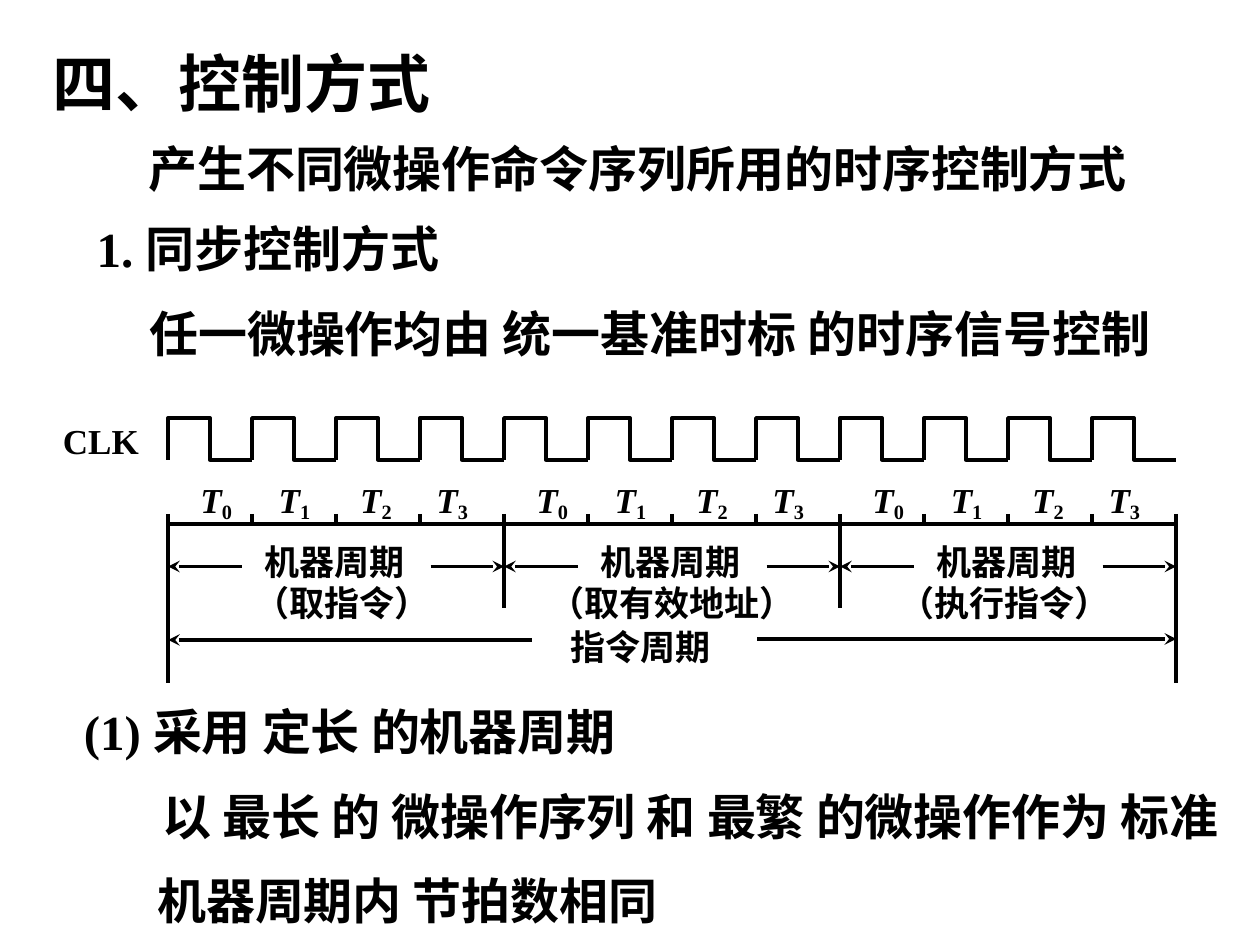
import dataclasses

import pptx
import pptx.dml.color
import pptx.enum.shapes
import pptx.enum.text
import pptx.oxml
import pptx.oxml.ns
import pptx.util
from pptx.util import Cm


@dataclasses.dataclass(frozen=True)
class Theme:
    font: str = "Times New Roman"
    ink: pptx.dml.color.RGBColor = pptx.dml.color.RGBColor(0, 0, 0)
    title: int = 36
    body: int = 28
    label: int = 20
    line: float = 2.25


class Painter:
    """Holds the theme and the current page; all lengths are centimetres."""

    def __init__(self, page, theme):
        self.page = page
        self.theme = theme

    def text(self, words, left, top, width, height, size, wrap=False):
        box = self.page.shapes.add_textbox(Cm(left), Cm(top), Cm(width), Cm(height))
        frame = box.text_frame
        frame.word_wrap = wrap
        frame.auto_size = pptx.enum.text.MSO_AUTO_SIZE.SHAPE_TO_FIT_TEXT
        frame.text = words
        para = frame.paragraphs[0]
        self.style(para.runs[0], size)
        return para

    def style(self, span, size):
        span.font.name = self.theme.font
        span.font.size = pptx.util.Pt(size)
        span.font.bold = True
        span.font.color.rgb = self.theme.ink

    def statement(self, words, left, top, width, wrap=False):
        self.text(words, left, top, width, 1.45, self.theme.body, wrap)

    def label(self, words, left, top, width):
        return self.text(words, left, top, width, 1.12, self.theme.label)

    def beat(self, index, left, top):
        """An italic T with a lowered index."""
        para = self.label("T", left, top, 1.18)
        para.runs[0].font.italic = True
        span = para.add_run()
        span.text = str(index)
        self.style(span, self.theme.label)
        span.font._element.set("baseline", "-15000")

    def stroke(self, shape):
        shape.line.color.rgb = self.theme.ink
        shape.line.width = pptx.util.Pt(self.theme.line)

    def line(self, x1, y1, x2, y2, arrow=False):
        line = self.page.shapes.add_connector(
            pptx.enum.shapes.MSO_CONNECTOR.STRAIGHT, Cm(x1), Cm(y1), Cm(x2), Cm(y2))
        self.stroke(line)
        if arrow:
            head = pptx.oxml.parse_xml(
                f'<a:tailEnd {pptx.oxml.ns.nsdecls("a")} type="stealth"/>')
            line.line._get_or_add_ln().append(head)
        line._element.spPr.append(
            pptx.oxml.parse_xml(f'<a:effectLst {pptx.oxml.ns.nsdecls("a")}/>'))

    def pulse(self, left, width, high, low):
        middle, right = left + width / 2, left + width
        builder = self.page.shapes.build_freeform(Cm(left), Cm(low))
        corners = [(left, high), (middle, high), (middle, low), (right, low)]
        builder.add_line_segments([(Cm(x), Cm(y)) for x, y in corners], close=False)
        shape = builder.convert_to_shape()
        shape.shadow.inherit = False
        shape.fill.background()
        self.stroke(shape)


def main():
    deck = pptx.Presentation()
    deck.slide_width, deck.slide_height = Cm(25.4), Cm(19.05)
    theme = Theme()
    painter = Painter(deck.slides.add_slide(deck.slide_layouts[6]), theme)

    # Headings and statements
    painter.text("四、控制方式", 0.81, 0.78, 8.3, 1.78, theme.title)
    painter.statement("产生不同微操作命令序列所用的时序控制方式", 2.74, 2.67, 20.5)
    painter.statement("1. 同步控制方式", 1.7, 4.28, 10.36, wrap=True)
    painter.statement("任一微操作均由 统一基准时标 的时序信号控制", 2.76, 6, 20.9)

    # Timing grid: three machine cycles of four beats
    start, beats, cycles = 3.39, 4, 3
    cycle = 20.32 / cycles
    step = cycle / beats
    end = start + cycle * cycles
    tick_top, axis, arrow_y = 10.36, 10.57, 11.42

    # Clock signal
    painter.label("CLK", 1.02, 8.33, 2.25)
    for number in range(beats * cycles):
        painter.pulse(start + number * step, step, 8.43, 9.27)

    # Axis with short ticks, cycle borders and outer borders
    painter.line(start, axis, end, axis)
    for number in range(beats * cycles + 1):
        x = start + number * step
        if number in (0, beats * cycles):
            bottom = 13.76
        elif number % beats == 0:
            bottom = 12.26
        else:
            bottom = axis
        painter.line(x, tick_top, x, bottom)

    # Machine cycles: beat names, arrows and captions
    captions = [("（取指令）", 4.88, 4.15), ("（取有效地址）", 10.82, 5.6),
                ("（执行指令）", 17.88, 4.9)]
    for number, (caption, caption_left, caption_width) in enumerate(captions):
        left = start + number * cycle
        right = left + cycle
        for index, offset in enumerate((0.4, 1.98, 3.62, 5.16)):
            painter.beat(index, left + offset, 9.53)
        painter.line(left + 1.48, arrow_y, left, arrow_y, arrow=True)
        painter.line(right - 1.48, arrow_y, right, arrow_y, arrow=True)
        painter.label("机器周期", left + 1.69, 10.78, 3.45)
        painter.label(caption, caption_left, 11.59, caption_width)

    # Instruction cycle
    painter.line(10.72, 12.9, start, 12.9, arrow=True)
    painter.line(15.27, 12.88, end, 12.88, arrow=True)
    painter.label("指令周期", 11.25, 12.48, 3.45)

    # Fixed-length machine cycle
    painter.statement("(1) 采用 定长 的机器周期", 1.44, 14.02, 13.67, wrap=True)
    painter.statement("以 最长 的 微操作序列 和 最繁 的微操作作为 标准", 3.02, 15.73, 22.1)
    painter.statement("机器周期内 节拍数相同", 2.92, 17.43, 14, wrap=True)

    deck.save("out.pptx")


if __name__ == "__main__":
    main()
